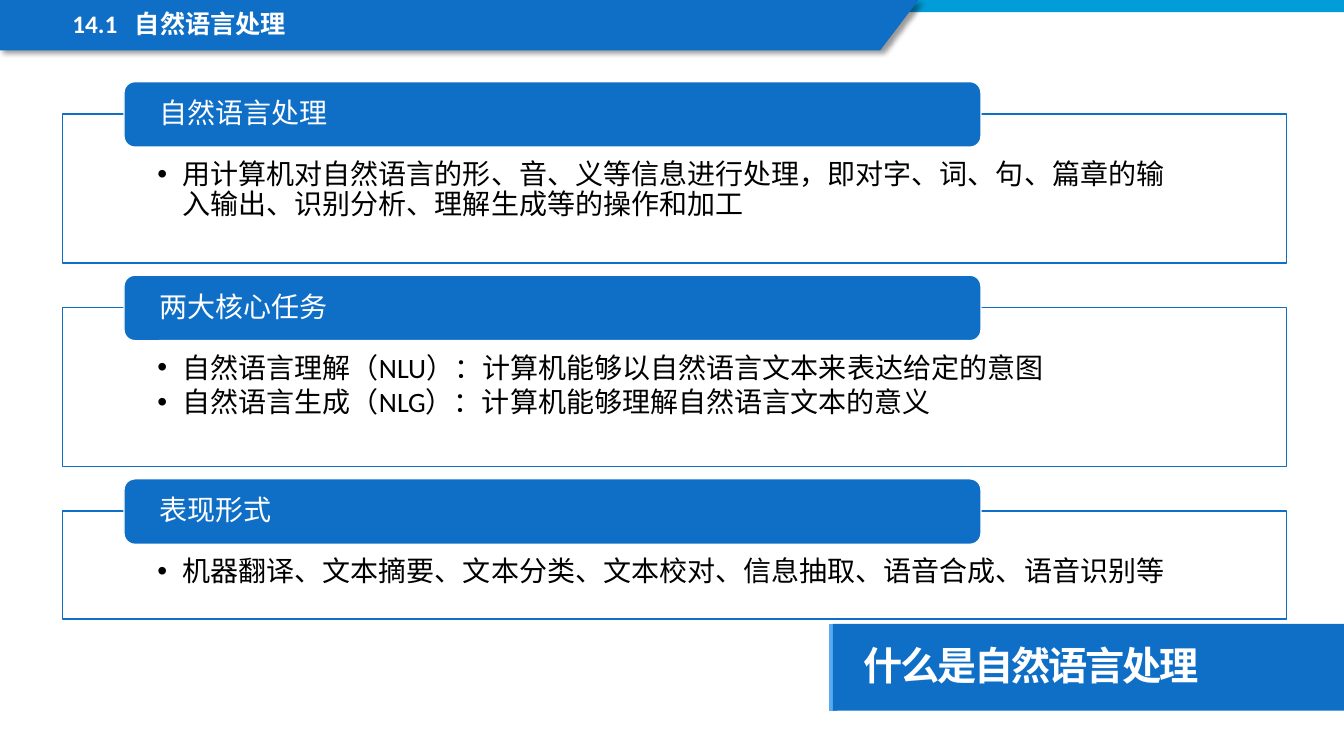
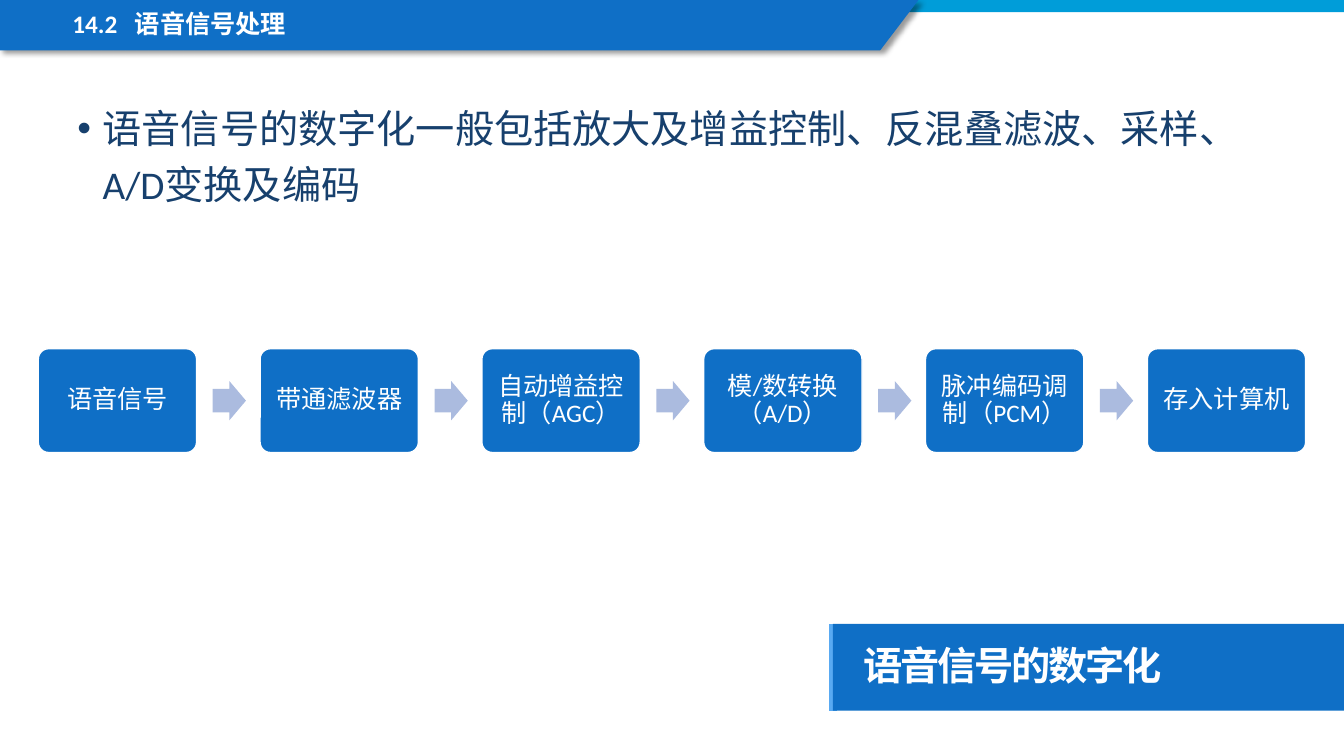
from lxml import etree
from pptx import Presentation
from pptx import util as u
from pptx.dml.color import RGBColor
from pptx.enum import lang, shapes, text
from pptx.oxml import ns, parse_xml

BLUE = RGBColor(0x0F, 0x6F, 0xC6)
CYAN = RGBColor(0x00, 0x9D, 0xD9)
LIGHT_BLUE = RGBColor(0x59, 0xAA, 0xF2)
ARROW_BLUE = RGBColor(0xAB, 0xBB, 0xDF)
NAVY = RGBColor(0x17, 0x40, 0x6D)
WHITE = RGBColor(0xFF, 0xFF, 0xFF)
BLACK = RGBColor(0, 0, 0)

BODY_FONT = "Calibri"
TITLE_FONT = "Noto Sans CJK SC"
SLIDE_WIDTH, SLIDE_HEIGHT = 13.33, 7.5
TITLE_BOX = (8.26, 6.19, 5.07, 0.86)
SECTION_BOX = (0.62, 0.07, 6.96, 0.38)

PANELS = [
    (1.48, "自然语言处理", [
        "用计算机对自然语言的形、音、义等信息进行处理，即对字、词、句、篇章的输入输出、识别分析、理解生成等的操作和加工"]),
    (1.58, "两大核心任务", [
        "自然语言理解（NLU）：计算机能够以自然语言文本来表达给定的意图",
        "自然语言生成（NLG）：计算机能够理解自然语言文本的意义"]),
    (1.07, "表现形式", [
        "机器翻译、文本摘要、文本分类、文本校对、信息抽取、语音合成、语音识别等"]),
]
STEPS = ["语音信号", "带通滤波器", "自动增益控制（AGC）", "模/数转换（A/D）",
         "脉冲编码调制（PCM）", "存入计算机"]
DIGITIZATION = "语音信号的数字化一般包括放大及增益控制、反混叠滤波、采样、A/D变换及编码"


def inches(*lengths):
    """Convert numbers to lengths in inches."""
    return [u.Inches(length) for length in lengths]


def add_effects(properties, shadow=""):
    """Give shape properties an effect list, empty unless a shadow is passed."""
    properties.append(parse_xml(f"<a:effectLst {ns.nsdecls('a')}>{shadow}</a:effectLst>"))


def style_shape(shape, fill, line=None):
    """Set the fill and line of a shape and take its shadow away."""
    shape.shadow.inherit = False
    shape.fill.solid()
    shape.fill.fore_color.rgb = fill
    if line is None:
        shape.line.fill.background()
    else:
        shape.line.color.rgb = line
        shape.line.width = u.Pt(1)


def add_box(slide, kind, box, fill, line=None):
    """Add a preset shape at a box of left, top, width and height."""
    shape = slide.shapes.add_shape(kind, *inches(*box))
    style_shape(shape, fill, line)
    return shape


def set_bullet(paragraph):
    """Give a paragraph a hanging round bullet."""
    properties = paragraph._p.get_or_add_pPr()
    properties.set("marL", str(u.Inches(0.25)))
    properties.set("indent", str(-u.Inches(0.25)))
    etree.SubElement(properties, ns.qn("a:buFont")).set("typeface", "Arial")
    etree.SubElement(properties, ns.qn("a:buChar")).set("char", "•")


def write(shape, lines, size, color, insets=(0.1, 0.05, 0.1, 0.05), font=BODY_FONT,
          bold=False, bullets=False, spacing=0.9, after=0,
          anchor=text.MSO_ANCHOR.TOP, align=text.PP_ALIGN.LEFT):
    """Fill a shape with formatted paragraphs."""
    frame = shape.text_frame
    frame.word_wrap = True
    frame.auto_size = text.MSO_AUTO_SIZE.NONE
    frame.vertical_anchor = anchor
    (frame.margin_left, frame.margin_top,
     frame.margin_right, frame.margin_bottom) = inches(*insets)
    frame.text = "\n".join(lines)
    for paragraph in frame.paragraphs:
        if bullets:
            set_bullet(paragraph)
        paragraph.alignment = align
        paragraph.line_spacing = spacing
        paragraph.space_before = u.Pt(0)
        paragraph.space_after = u.Pt(after)
        for run in paragraph.runs:
            run.font.size = u.Pt(size)
            run.font.bold = bold
            run.font.color.rgb = color
            run.font.name = font
            run.font.language_id = lang.MSO_LANGUAGE_ID.SIMPLIFIED_CHINESE
            etree.SubElement(run._r.get_or_add_rPr(), ns.qn("a:ea")).set("typeface", font)


def add_section_band(slide, number, section):
    """Draw the top strip, the slanted band and the section heading."""
    add_box(slide, shapes.MSO_SHAPE.RECTANGLE, (0, 0, SLIDE_WIDTH, 0.12), CYAN)
    builder = slide.shapes.build_freeform(0, 0, scale=u.Inches(0.01))
    builder.add_line_segments([(911, 0), (873, 50), (0, 50)], close=True)
    band = builder.convert_to_shape()
    band.fill.solid()
    band.fill.fore_color.rgb = BLUE
    band.line.fill.background()
    add_effects(band._element.spPr,
                f'<a:outerShdw blurRad="{u.Pt(4)}" dist="{u.Pt(3)}" dir="2700000" algn="tl">'
                '<a:srgbClr val="000000"><a:alpha val="40000"/></a:srgbClr></a:outerShdw>')
    heading = slide.shapes.add_textbox(*inches(*SECTION_BOX))
    write(heading, [f"{number}\t{section}"], 18, WHITE, bold=True)
    properties = heading.text_frame.paragraphs[0]._p.get_or_add_pPr()
    tabs = etree.SubElement(properties, ns.qn("a:tabLst"))
    tab = etree.SubElement(tabs, ns.qn("a:tab"))
    tab.set("pos", str(u.Inches(0.62)))
    tab.set("algn", "l")


def add_title_band(slide, title_text):
    """Place the slide title in its blue band with a light left edge."""
    left, top, width, height = TITLE_BOX
    edge = slide.shapes.add_connector(
        shapes.MSO_CONNECTOR.STRAIGHT, *inches(left, top + height, left, top))
    edge.line.color.rgb = LIGHT_BLUE
    edge.line.width = u.Pt(6)
    add_effects(edge._element.spPr)
    title = slide.shapes.title
    title.left, title.top, title.width, title.height = inches(*TITLE_BOX)
    style_shape(title, BLUE)
    write(title, [title_text], 28, WHITE, (0.3, 0.2, 0.2, 0.2), TITLE_FONT,
          bold=True, anchor=text.MSO_ANCHOR.MIDDLE)
    title.text_frame.paragraphs[0].runs[0]._r.get_or_add_rPr().set("spc", "-150")
    edge._element.addnext(title._element)


def add_slide(presentation, number, section, title_text):
    """Add a title-only slide with the shared bands."""
    slide = presentation.slides.add_slide(presentation.slide_layouts[5])
    add_section_band(slide, number, section)
    add_title_band(slide, title_text)
    return slide


def add_panel(slide, box, heading, lines):
    """Draw an outlined panel with bullets and a heading over its top edge."""
    left, top, _, _ = box
    panel = add_box(slide, shapes.MSO_SHAPE.RECTANGLE, box, WHITE, BLUE)
    write(panel, lines, 20, BLACK, (0.94, 0.46, 0.94, 0.16), bullets=True, after=3)
    header = add_box(slide, shapes.MSO_SHAPE.ROUNDED_RECTANGLE,
                     (left + 0.61, top - 0.32, 8.5, 0.65), BLUE, WHITE)
    write(header, [heading], 20, WHITE, (0.32, 0, 0.32, 0),
          anchor=text.MSO_ANCHOR.MIDDLE)


def add_panels(slide, left, top, width, gap):
    """Stack the panels with equal gaps."""
    for height, heading, lines in PANELS:
        add_panel(slide, (left, top, width, height), heading, lines)
        top += height + gap


def add_flow(slide, left, top, width, height, pitch):
    """Lay out the steps in a row with an arrow between neighbours."""
    arrow_width, arrow_height = 0.33, 0.39
    for index, label in enumerate(STEPS):
        step_left = left + index * pitch
        if index:
            arrow_left = step_left - 0.47
            arrow_top = top + (height - arrow_height) / 2
            arrow = add_box(slide, shapes.MSO_SHAPE.RIGHT_ARROW,
                            (arrow_left, arrow_top, arrow_width, arrow_height), ARROW_BLUE)
            arrow.adjustments[0] = 0.6
        step = add_box(slide, shapes.MSO_SHAPE.ROUNDED_RECTANGLE,
                       (step_left, top, width, height), BLUE, WHITE)
        step.adjustments[0] = 0.1
        write(step, [label], 18, WHITE, (0.07, 0.07, 0.07, 0.07),
              anchor=text.MSO_ANCHOR.MIDDLE, align=text.PP_ALIGN.CENTER)


def main():
    """Build and save the presentation."""
    presentation = Presentation()
    presentation.slide_width, presentation.slide_height = inches(SLIDE_WIDTH, SLIDE_HEIGHT)

    language = add_slide(presentation, "14.1", "自然语言处理", "什么是自然语言处理")
    add_panels(language, 0.62, 1.13, 12.14, 0.44)

    speech = add_slide(presentation, "14.2", "语音信号处理", "语音信号的数字化")
    summary = speech.shapes.add_textbox(*inches(0.67, 0.89, 11.85, 1.4))
    write(summary, [DIGITIZATION], 28, NAVY, bullets=True, spacing=1.2)
    add_flow(speech, 0.38, 3.46, 1.57, 1.03, 2.2)

    presentation.save("out.pptx")


if __name__ == "__main__":
    main()
